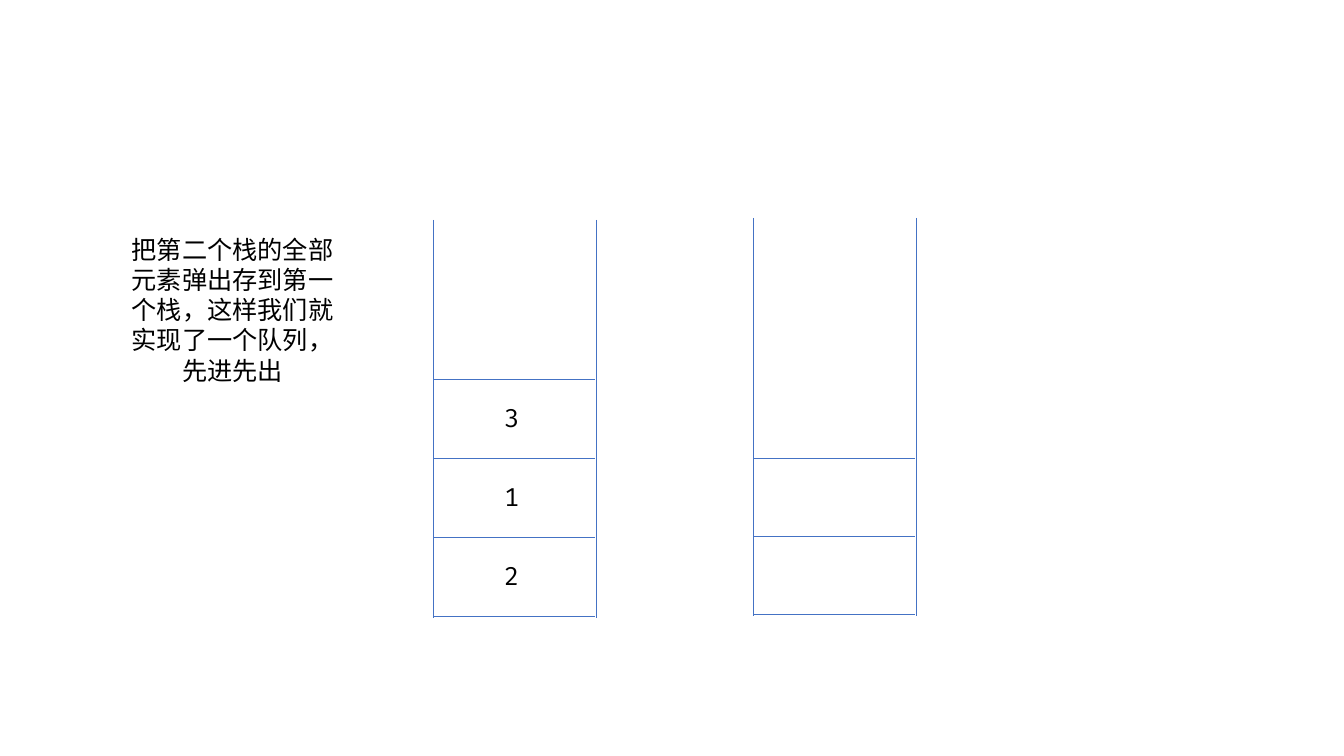
from dataclasses import dataclass

from lxml import etree
from pptx import Presentation
from pptx import util as u
from pptx.dml import color
from pptx.enum import shapes, text
from pptx.oxml import ns


@dataclass(frozen=True)
class Theme:
    ink: str = "000000"
    wall: str = "4472C4"
    wall_pt: float = 0.5
    size_pt: float = 18
    leading_pt: float = 21.6
    digits: str = "Fira Code"
    chinese: str = "Noto Sans CJK SC"


THEME = Theme()
PX = 914400 / 100.8


def px(length):
    return u.Emu(round(length * PX))


def add_text(slide, box, words, font=THEME.digits, size=THEME.size_pt, ink=THEME.ink):
    frame = slide.shapes.add_textbox(*map(px, box)).text_frame
    frame.word_wrap = True
    paragraph = frame.paragraphs[0]
    paragraph.alignment = text.PP_ALIGN.CENTER
    paragraph.line_spacing = u.Pt(THEME.leading_pt)
    run = paragraph.add_run()
    run.text = words
    run.font.name = font
    run.font.size = u.Pt(size)
    run.font.color.rgb = color.RGBColor.from_string(ink)
    east_asian = etree.SubElement(run.font._element, ns.qn("a:ea"))
    east_asian.set("typeface", font)


def add_line(slide, start, end):
    edge = slide.shapes.add_connector(
        shapes.MSO_CONNECTOR.STRAIGHT, *map(px, (*start, *end)))
    edge.line.color.rgb = color.RGBColor.from_string(THEME.wall)
    edge.line.width = u.Pt(THEME.wall_pt)
    etree.SubElement(edge._element.spPr, ns.qn("a:effectLst"))


def draw_stack(slide, box, cell_height, cells):
    left, top, width, height = box
    right, bottom = left + width, top + height
    floor = bottom - 2
    for wall in (left, right):
        add_line(slide, (wall, top), (wall, bottom))
    for level in range(len(cells) + 1):
        shelf = floor - level * cell_height
        add_line(slide, (left + 1, shelf), (right - 1, shelf))
    for level, value in enumerate(cells, 1):
        if value:
            cell_top = floor - level * cell_height
            add_text(slide, (left + 15, cell_top + 18, width - 35, 40), value)


def draw_slide(deck):
    slide = deck.slides.add_slide(deck.slide_layouts[6])
    add_text(slide, (116, 229, 233, 163),
             "把第二个栈的全部元素弹出存到第一个栈，这样我们就实现了一个队列，先进先出",
             font=THEME.chinese)
    draw_stack(slide, (433, 220, 163, 398), 79, ["2", "1", "3"])
    draw_stack(slide, (753, 218, 163, 398), 78, ["", ""])


deck = Presentation()
deck.slide_width, deck.slide_height = px(1344), px(756)
draw_slide(deck)
deck.save("out.pptx")
